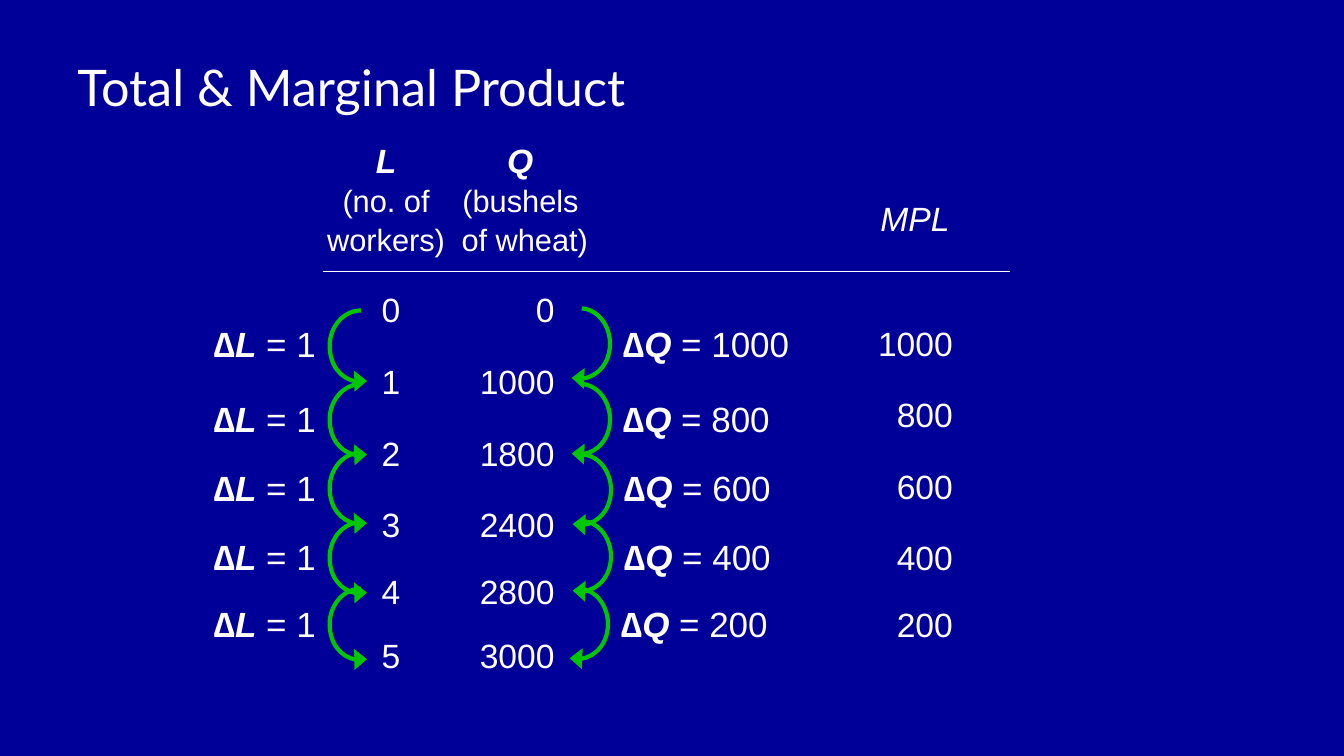
from dataclasses import dataclass

from lxml import etree
from pptx import Presentation
from pptx.dml.color import RGBColor
from pptx.enum.shapes import MSO_CONNECTOR
from pptx.enum.text import MSO_ANCHOR, MSO_AUTO_SIZE, PP_ALIGN
from pptx.oxml.ns import qn
from pptx.slide import Slide
from pptx.util import Inches, Pt

LEFT, CENTER, RIGHT = PP_ALIGN.LEFT, PP_ALIGN.CENTER, PP_ALIGN.RIGHT
MIDDLE, TOP = MSO_ANCHOR.MIDDLE, MSO_ANCHOR.TOP
FIT_SHAPE = MSO_AUTO_SIZE.SHAPE_TO_FIT_TEXT
STRAIGHT = MSO_CONNECTOR.STRAIGHT


@dataclass(frozen=True)
class Theme:
    background: RGBColor = RGBColor(0x00, 0x00, 0x99)
    ink: RGBColor = RGBColor(0xFF, 0xFF, 0xFF)
    arrow: RGBColor = RGBColor(0x00, 0xC6, 0x00)
    title_font: str = "Lato"
    body_font: str = "Arial"
    title_size: float = 36
    label_size: float = 25
    body_size: float = 24
    unit_size: float = 22
    rule_width: float = 0.75
    arrow_width: float = 3


THEME = Theme()


@dataclass(frozen=True)
class Piece:
    text: str
    size: float = THEME.body_size
    bold: bool = False
    italic: bool = False
    font: str = THEME.body_font
    break_after: bool = False


@dataclass(frozen=True)
class Box:
    left: float
    top: float
    width: float
    height: float
    align: PP_ALIGN = CENTER
    inset_left: float = 0
    inset_right: float = 0
    anchor: MSO_ANCHOR = MIDDLE
    spacing: float = 1.05
    wrap: bool = True
    fit: bool = False


@dataclass(frozen=True)
class Row:
    top: float
    height: float
    workers: int
    output: int


@dataclass(frozen=True)
class Step:
    labour_top: float
    output_top: float
    output_left: float
    label_top: float


ROWS = [
    Row(2.69, 0.74, 0, 0),
    Row(3.42, 0.70, 1, 1000),
    Row(4.12, 0.72, 2, 1800),
    Row(4.84, 0.70, 3, 2400),
    Row(5.53, 0.64, 4, 2800),
    Row(6.17, 0.64, 5, 3000),
]
STEPS = [
    Step(3.08, 3.06, 5.67, 3.15),
    Step(3.81, 3.81, 5.67, 3.89),
    Step(4.49, 4.51, 5.68, 4.58),
    Step(5.18, 5.17, 5.68, 5.26),
    Step(5.84, 5.84, 5.65, 5.93),
]
HEADERS = [
    (Box(3.18, 1.24, 1.30, 1.44),
     [Piece("L", bold=True, italic=True, break_after=True),
      Piece("(no. of workers)", THEME.unit_size)]),
    (Box(4.48, 1.24, 1.45, 1.44),
     [Piece("Q ", bold=True, italic=True, break_after=True),
      Piece("(bushels ", THEME.unit_size, break_after=True),
      Piece("of wheat)", THEME.unit_size)]),
    (Box(8.57, 1.43, 1.01, 1.44), [Piece("MPL", italic=True)]),
]
RULES = [(3.20, 5.87, 2.69), (3.55, 10.02, 2.69)]
MARGINAL_OFFSET = 0.33
LABOUR_LEFT = 3.27
LABOUR_CURVE = [(0.31, 0), (0.14, 0), (0, 0.16), (0, 0.35),
                (0, 0.55), (0.14, 0.71), (0.31, 0.71),
                (0.33, 0.71), (0.35, 0.70), (0.37, 0.70)]
OUTPUT_CURVE = [(0.10, 0), (0.26, 0.01), (0.38, 0.17), (0.38, 0.35),
                (0.38, 0.54), (0.24, 0.70), (0.07, 0.70),
                (0.05, 0.70), (0.02, 0.70), (0, 0.69)]


def add_text(slide: Slide, box: Box, pieces: list[Piece]) -> None:
    shape = slide.shapes.add_textbox(
        Inches(box.left), Inches(box.top), Inches(box.width), Inches(box.height))
    frame = shape.text_frame
    frame.word_wrap = box.wrap
    frame.vertical_anchor = box.anchor
    frame.margin_left = Inches(box.inset_left)
    frame.margin_right = Inches(box.inset_right)
    if box.fit:
        frame.auto_size = FIT_SHAPE
    paragraph = frame.paragraphs[0]
    paragraph.alignment = box.align
    paragraph.line_spacing = box.spacing
    for piece in pieces:
        run = paragraph.add_run()
        run.text = piece.text
        run.font.name = piece.font
        run.font.size = Pt(piece.size)
        run.font.bold = piece.bold
        run.font.italic = piece.italic
        run.font.color.rgb = THEME.ink
        if piece.break_after:
            paragraph.add_line_break()


def add_change(slide: Slide, box: Box, symbol: str, amount: int) -> None:
    size = THEME.label_size
    add_text(slide, box, [Piece("∆", size, bold=True),
                          Piece(symbol, size, bold=True, italic=True),
                          Piece(f" = {amount}", size)])


def add_rule(slide: Slide, start: float, end: float, top: float) -> None:
    rule = slide.shapes.add_connector(
        STRAIGHT, Inches(start), Inches(top), Inches(end), Inches(top))
    rule.line.color.rgb = THEME.ink
    rule.line.width = Pt(THEME.rule_width)
    etree.SubElement(rule._element.spPr, qn("a:effectLst"))


def add_curve(slide: Slide, left: float, top: float,
              curve: list[tuple[float, float]]) -> None:
    points = [(Inches(left + x), Inches(top + y)) for x, y in curve]
    builder = slide.shapes.build_freeform(*points[0])
    builder.add_line_segments(points[1:], close=False)
    shape = builder.convert_to_shape()
    segments = list(shape._element.iter(qn("a:lnTo")))
    outline = segments[0].getparent()
    for index in range(0, len(segments), 3):
        bezier = etree.SubElement(outline, qn("a:cubicBezTo"))
        for segment in segments[index:index + 3]:
            bezier.append(segment[0])
            outline.remove(segment)
    shape.shadow.inherit = False
    shape.fill.background()
    shape.line.color.rgb = THEME.arrow
    shape.line.width = Pt(THEME.arrow_width)
    etree.SubElement(shape.line._get_or_add_ln(), qn("a:tailEnd"),
                     type="triangle", w="lg", len="med")


def main() -> None:
    presentation = Presentation()
    presentation.slide_width = Inches(13.33)
    presentation.slide_height = Inches(7.5)
    slide = presentation.slides.add_slide(presentation.slide_layouts[6])
    slide.background.fill.solid()
    slide.background.fill.fore_color.rgb = THEME.background

    add_text(slide, Box(0.67, 0.32, 12, 1.07, LEFT, 0.1, 0.1, spacing=1.0),
             [Piece("Total & Marginal Product", THEME.title_size,
                    font=THEME.title_font)])
    for box, pieces in HEADERS:
        add_text(slide, box, pieces)
    for start, end, top in RULES:
        add_rule(slide, start, end, top)
    for row in ROWS:
        add_text(slide, Box(3.18, row.top, 1.30, row.height, inset_left=0.1),
                 [Piece(str(row.workers))])
        add_text(slide, Box(4.48, row.top, 1.27, row.height, RIGHT, inset_right=0.25),
                 [Piece(str(row.output))])
    for step, row, following in zip(STEPS, ROWS, ROWS[1:]):
        marginal = following.output - row.output
        add_text(slide, Box(8.69, row.top + MARGINAL_OFFSET, 1.01, row.height,
                            RIGHT, inset_right=0.25), [Piece(str(marginal))])
        add_curve(slide, LABOUR_LEFT, step.labour_top, LABOUR_CURVE)
        add_curve(slide, step.output_left, step.output_top, OUTPUT_CURVE)
        add_change(slide, Box(2.0, step.label_top, 1.23, 0.52, RIGHT, 0.1, 0.1,
                              TOP, 1.0, fit=True), "L", following.workers - row.workers)
        add_change(slide, Box(step.output_left + 0.41, step.label_top,
                              1.85 if marginal >= 1000 else 1.66, 0.52, LEFT,
                              0.1, 0.1, TOP, 1.0, False, True), "Q", marginal)
    presentation.save("out.pptx")


if __name__ == "__main__":
    main()
